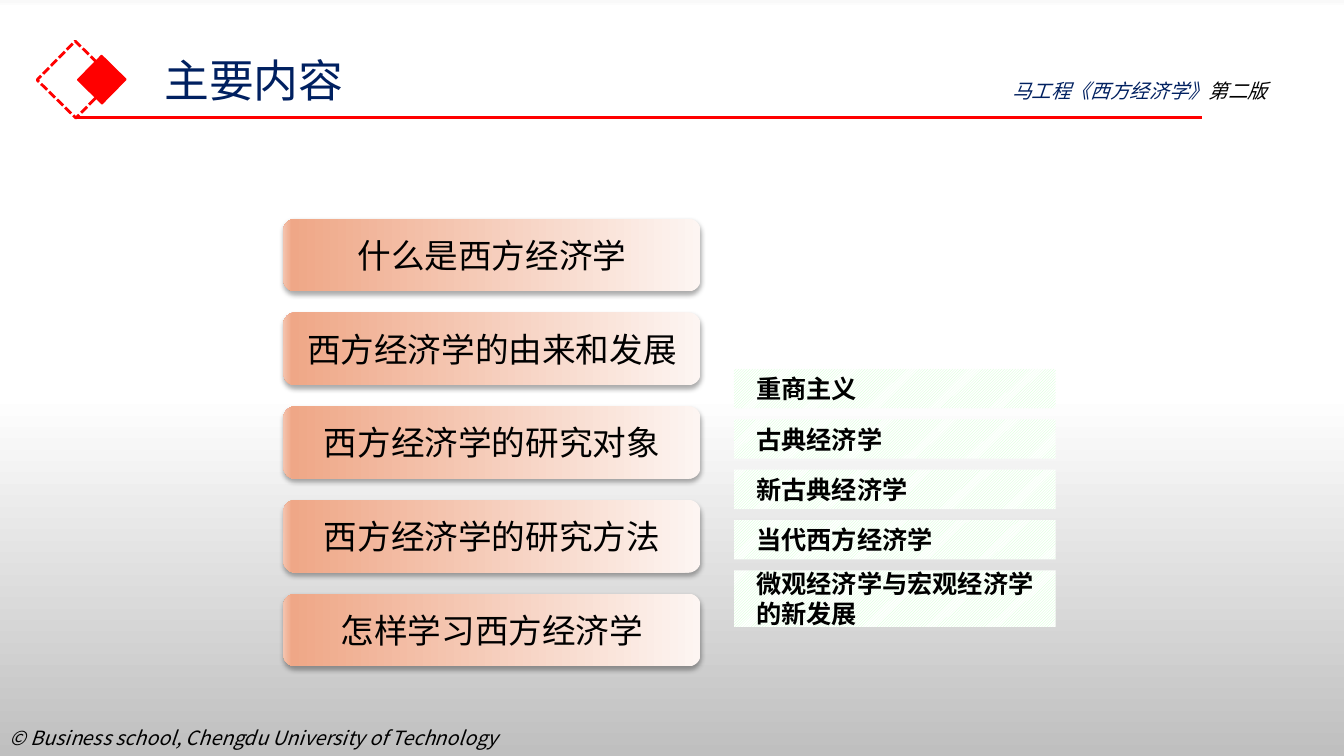
"""Build the contents slide of a Western economics course."""
import pptx
import pptx.dml.color
import pptx.enum.dml
import pptx.enum.shapes
import pptx.enum.text
import pptx.oxml
import pptx.oxml.ns
import pptx.util
from pptx.util import Inches

RGBColor = pptx.dml.color.RGBColor
SHAPE = pptx.enum.shapes.MSO_SHAPE
ALIGN = pptx.enum.text.PP_ALIGN
ANCHOR = pptx.enum.text.MSO_ANCHOR
qn = pptx.oxml.ns.qn

BLACK = RGBColor(0, 0, 0)
NAVY = RGBColor(0x00, 0x20, 0x60)
RED = RGBColor(0xFF, 0, 0)
WHITE = RGBColor(0xFF, 0xFF, 0xFF)
MINT = RGBColor(0xCC, 0xFF, 0xCC)
BACKGROUND_STOPS = [
    (0, RGBColor(0xF9, 0xF9, 0xF9)),
    (1, WHITE),
    (52, WHITE),
    (100, RGBColor(0xBF, 0xBF, 0xBF)),
]
TOPIC_STOPS = [
    (0, RGBColor(0xFD, 0xF5, 0xF2)),
    (98, RGBColor(0xEF, 0xA7, 0x87)),
    (100, RGBColor(0xF4, 0xC4, 0xAF)),
]
MAIN_FONT = "Noto Sans CJK SC"
SCHOOL_FONT = "Calibri"

TOPICS = [
    "什么是西方经济学",
    "西方经济学的由来和发展",
    "西方经济学的研究对象",
    "西方经济学的研究方法",
    "怎样学习西方经济学",
]
SCHOOLS = [
    "重商主义",
    "古典经济学",
    "新古典经济学",
    "当代西方经济学",
    "微观经济学与宏观经济学的新发展",
]


def set_gradient(fill, parent, stops, angle):
    """Give a fill inside the parent element its stops and clockwise angle."""
    fill.gradient()
    gradient = parent.find(".//" + qn("a:gradFill"))
    for child in list(gradient):
        gradient.remove(child)
    marks = "".join(
        f'<a:gs pos="{position * 1000}"><a:srgbClr val="{color}"/></a:gs>'
        for position, color in stops
    )
    namespace = pptx.oxml.ns.nsdecls("a")
    gradient.append(pptx.oxml.parse_xml(f"<a:gsLst {namespace}>{marks}</a:gsLst>"))
    gradient.append(pptx.oxml.parse_xml(
        f'<a:lin {namespace} ang="{angle * 60000}" scaled="0"/>'))


def add_soft_shadow(shape):
    """Put a soft shadow under a shape."""
    effects = shape._element.spPr.find(qn("a:effectLst"))
    effects.append(pptx.oxml.parse_xml(
        f'<a:outerShdw {pptx.oxml.ns.nsdecls("a")} blurRad="{pptx.util.Pt(3.5)}" '
        f'dist="{pptx.util.Pt(2.2)}" dir="5400000" rotWithShape="0">'
        '<a:srgbClr val="000000"><a:alpha val="32000"/></a:srgbClr></a:outerShdw>'))


def format_paragraph(paragraph, size, color, align=ALIGN.LEFT, name=MAIN_FONT,
                     bold=False, italic=False):
    """Set alignment and font for Latin and East Asian text."""
    paragraph.alignment = align
    font = paragraph.font
    font.name = name
    font.size = pptx.util.Pt(size)
    font.bold = bold
    font.italic = italic
    font.color.rgb = color
    east_asian = pptx.oxml.parse_xml(
        f'<a:ea {pptx.oxml.ns.nsdecls("a")} typeface="{name}"/>')
    font._rPr.find(qn("a:latin")).addnext(east_asian)


def add_box(slide, kind, left, top, width, height):
    """Add a preset shape without shadow or outline."""
    shape = slide.shapes.add_shape(
        kind, Inches(left), Inches(top), Inches(width), Inches(height))
    shape.shadow.inherit = False
    shape.line.fill.background()
    shape.text_frame.word_wrap = True
    shape.text_frame.vertical_anchor = ANCHOR.MIDDLE
    return shape


def add_diamond(slide, left, top, size, line_width):
    """Add a turned square with a red outline."""
    shape = add_box(slide, SHAPE.RECTANGLE, left, top, size, size)
    shape.rotation = 314.5
    shape.line.color.rgb = RED
    shape.line.width = pptx.util.Pt(line_width)
    return shape


def add_header_mark(slide):
    """Add the two diamonds and the red rule."""
    outline = add_diamond(slide, 0.48, 0.52, 0.54, 2)
    outline.fill.background()
    outline.line.dash_style = pptx.enum.dml.MSO_LINE.SQUARE_DOT
    solid = add_diamond(slide, 0.84, 0.62, 0.34, 1)
    solid.fill.solid()
    solid.fill.fore_color.rgb = RED
    rule = slide.shapes.add_connector(
        pptx.enum.shapes.MSO_CONNECTOR.STRAIGHT,
        Inches(0.75), Inches(1.17), Inches(11.92), Inches(1.17))
    rule.line.color.rgb = RED
    rule.line.width = pptx.util.Pt(2.25)
    rule._element.spPr.append(pptx.oxml.parse_xml(
        f'<a:effectLst {pptx.oxml.ns.nsdecls("a")}/>'))


def set_title(slide, text):
    """Move and format the title placeholder."""
    title = slide.shapes.title
    title.left, title.top = Inches(1.53), Inches(0.47)
    title.width, title.height = Inches(4.96), Inches(0.64)
    title.text_frame.text = text
    title.text_frame.vertical_anchor = ANCHOR.TOP
    title.text_frame.auto_size = pptx.enum.text.MSO_AUTO_SIZE.NONE
    format_paragraph(title.text_frame.paragraphs[0], 32, NAVY)


def add_note(slide, left, top, width, height, parts):
    """Add a line of italic text made of text and colour parts."""
    box = slide.shapes.add_textbox(
        Inches(left), Inches(top), Inches(width), Inches(height))
    box.text_frame.word_wrap = True
    paragraph = box.text_frame.paragraphs[0]
    format_paragraph(paragraph, 14, BLACK, italic=True)
    for text, color in parts:
        run = paragraph.add_run()
        run.text = text
        run.font.color.rgb = color


def add_topic(slide, top, text):
    """Add a rounded topic bar."""
    shape = add_box(slide, SHAPE.ROUNDED_RECTANGLE, 2.81, top, 4.14, 0.72)
    set_gradient(shape.fill, shape._element, TOPIC_STOPS, 180)
    add_soft_shadow(shape)
    shape.text_frame.text = text
    format_paragraph(shape.text_frame.paragraphs[0], 24, BLACK, ALIGN.CENTER)


def add_school(slide, top, height, text):
    """Add a hatched bar naming a school of thought."""
    shape = add_box(slide, SHAPE.RECTANGLE, 7.28, top, 3.19, height)
    shape.fill.patterned()
    shape.fill.pattern = pptx.enum.dml.MSO_PATTERN.LIGHT_UPWARD_DIAGONAL
    shape.fill.fore_color.rgb = MINT
    shape.fill.back_color.rgb = WHITE
    frame = shape.text_frame
    frame.margin_left = frame.margin_right = Inches(0.22)
    frame.text = text
    format_paragraph(frame.paragraphs[0], 18, BLACK, ALIGN.JUSTIFY,
                     SCHOOL_FONT, bold=True)


def main():
    """Build and save the slide."""
    presentation = pptx.Presentation()
    presentation.slide_width = Inches(13.33)
    presentation.slide_height = Inches(7.5)
    slide = presentation.slides.add_slide(presentation.slide_layouts[5])
    set_gradient(slide.background.fill, slide._element, BACKGROUND_STOPS, 90)
    set_title(slide, "主要内容")
    add_header_mark(slide)
    add_note(slide, 9.94, 0.73, 3.24, 0.34,
             [("马工程《西方经济学》", NAVY), ("第二版", BLACK)])
    add_note(slide, 0, 7.15, 6.34, 0.56,
             [("© Business school, Chengdu University of Technology", BLACK)])
    for index, topic in enumerate(TOPICS):
        add_topic(slide, 2.17 + 0.93 * index, topic)
    for index, school in enumerate(SCHOOLS):
        height = 0.56 if school == SCHOOLS[-1] else 0.39
        add_school(slide, 3.66 + 0.5 * index, height, school)
    presentation.save("out.pptx")


if __name__ == "__main__":
    main()
